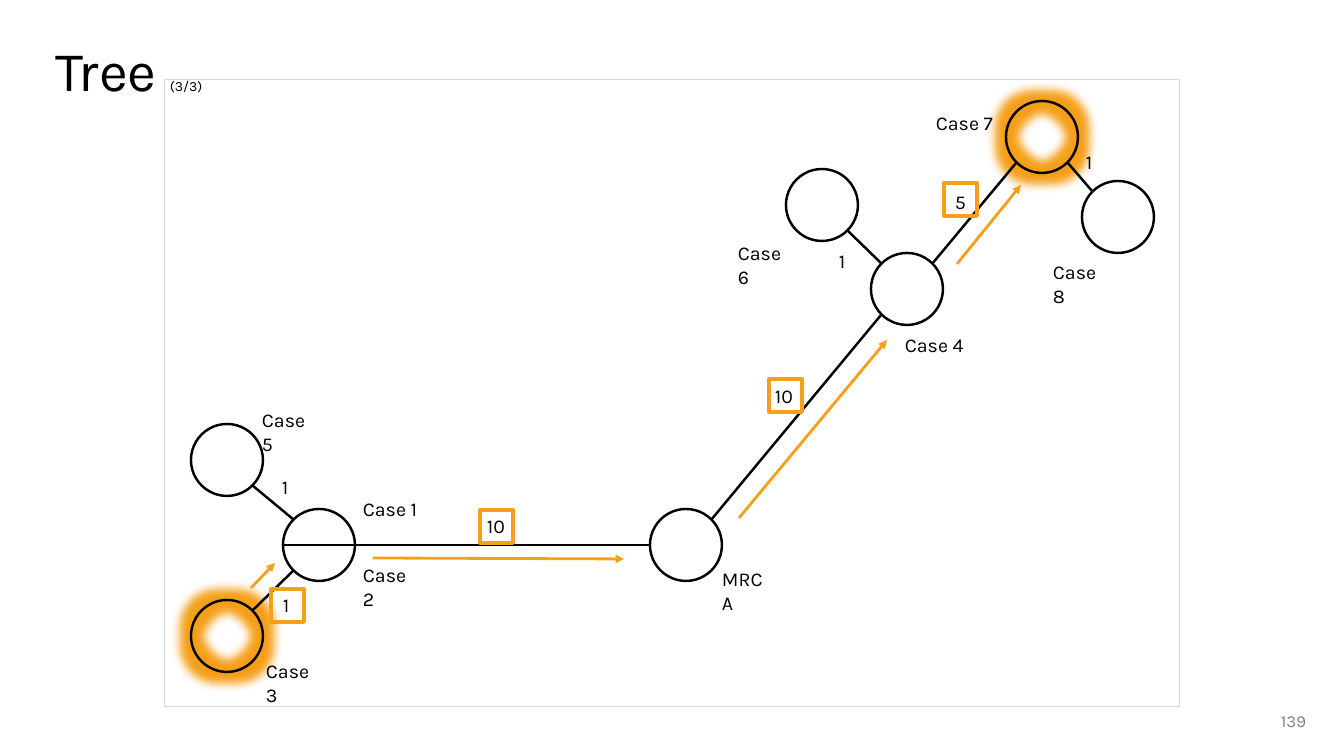
"""Build the slide showing the path between two cases in a transmission tree."""
import math
from dataclasses import dataclass

import pptx
import pptx.dml.color
import pptx.enum.shapes
import pptx.enum.text
import pptx.oxml
import pptx.oxml.ns
import pptx.util

TITLE = [("Tree ", 40), ("(3/3)", 10)]
PAGE_NUMBER = "139"

NODES = {
    "fork": (319, 545),
    "ancestor": (686, 545),
    "case 3": (227, 636),
    "case 4": (907, 289),
    "case 5": (227, 460),
    "case 6": (822, 205),
    "case 7": (1042, 137),
    "case 8": (1118, 217),
}
PATH_ENDS = ("case 3", "case 7")
FILLED_NODE = "ancestor"

EDGES = [
    ("fork", "E", "ancestor", "W"),
    ("ancestor", "NE", "case 4", "SW"),
    ("fork", "NW", "case 5", "SE"),
    ("fork", "SW", "case 3", "NE"),
    ("fork", "W", "fork", "E"),
    ("case 4", "NW", "case 6", "SE"),
    ("case 8", "NW", "case 7", "SE"),
    ("case 7", "SW", "case 4", "NE"),
]
ANGLES = {"E": 0, "SE": 45, "SW": 135, "W": 180, "NW": 225, "NE": 315}

FOLDED_LABELS = [
    ("MRCA", 712, 562),
    ("Case 5", 252, 403),
    ("Case 3", 256, 654),
    ("Case 2", 353, 558),
    ("Case 6", 728, 236),
    ("Case 8", 1043, 255),
]
LABELS = [
    ("Case 1", 353, 492),
    ("Case 4", 895, 328),
    ("Case 7", 926, 106),
    ("1", 272, 470),
    ("1", 273, 588),
    ("10", 477, 509),
    ("10", 765, 379),
    ("1", 829, 244),
    ("1", 1076, 145),
    ("5", 945, 185),
]
DISTANCE_BOXES = [(271, 589), (480, 510), (769, 379), (944, 183)]
ARROWS = [
    ((251, 588), (275, 563)),
    ((373, 558), (624, 559)),
    ((739, 518), (887, 340)),
    ((957, 264), (1021, 185)),
]

SLIDE_SIZE = (1344, 756)
TITLE_BOX = (45, 0, 1159, 146)
FRAME_BOX = (164, 79, 1015, 627)
PAGE_BOX = (1014, 701, 302, 40)
NODE_RADIUS = 36
DISTANCE_SIDE = 33
LABEL_HEIGHT = 34
LABEL_WIDTH = 90
FOLDED_WIDTH = 64
EMU_PER_PX = 914400 / 100.8


@dataclass(frozen=True)
class Theme:
    """Colours, type and line weights of the slide."""
    font: str = "Karla"
    ink: str = "000000"
    paper: str = "FFFFFF"
    accent: str = "F6A01A"
    frame: str = "D9D9D9"
    muted: str = "808080"
    label_size: int = 14
    page_size: int = 12
    tree_line: float = 1.75
    arrow_line: float = 2
    box_line: float = 2.75
    frame_line: float = 0.5
    glow: int = 14


THEME = Theme()
SHAPES = pptx.enum.shapes.MSO_SHAPE
ALIGN = pptx.enum.text.PP_ALIGN
ANCHOR = pptx.enum.text.MSO_ANCHOR


def px(*lengths):
    return [round(length * EMU_PER_PX) for length in lengths]


def rgb(color):
    return pptx.dml.color.RGBColor.from_string(color)


def add_xml(parent, content):
    parent.append(pptx.oxml.parse_xml(content.replace(
        "/>" if content.endswith("/>") and content.count("<") == 1 else ">",
        f' {pptx.oxml.ns.nsdecls("a")}' + ("/>" if content.count("<") == 1 else ">"), 1)))


def style_line(line, color, weight):
    line.color.rgb = rgb(color)
    line.width = pptx.util.Pt(weight)


def style_run(run, size, color):
    run.font.name = THEME.font
    run.font.size = pptx.util.Pt(size)
    run.font.color.rgb = rgb(color)


def add_outline(slide, kind, box, color, weight):
    shape = slide.shapes.add_shape(kind, *px(*box))
    shape.shadow.inherit = False
    shape.fill.background()
    style_line(shape.line, color, weight)
    return shape


def add_line(slide, start, end, color, weight):
    connector = slide.shapes.add_connector(
        pptx.enum.shapes.MSO_CONNECTOR.STRAIGHT, *px(*start, *end))
    style_line(connector.line, color, weight)
    add_xml(connector._element.spPr, "<a:effectLst/>")
    return connector


def add_text(slide, text, box, size, color, align=ALIGN.LEFT, anchor=ANCHOR.TOP):
    text_frame = slide.shapes.add_textbox(*px(*box)).text_frame
    text_frame.word_wrap = True
    text_frame.vertical_anchor = anchor
    text_frame.text = text
    paragraph = text_frame.paragraphs[0]
    paragraph.alignment = align
    style_run(paragraph.runs[0], size, color)


def add_title(slide):
    title = slide.shapes.title
    title.left, title.top, title.width, title.height = px(*TITLE_BOX)
    title.text_frame.vertical_anchor = ANCHOR.MIDDLE
    paragraph = title.text_frame.paragraphs[0]
    paragraph.alignment = ALIGN.LEFT
    paragraph.line_spacing = 0.9
    for text, size in TITLE:
        run = paragraph.add_run()
        run.text = text
        style_run(run, size, THEME.ink)


def add_node(slide, name):
    x, y = NODES[name]
    box = (x - NODE_RADIUS, y - NODE_RADIUS, 2 * NODE_RADIUS, 2 * NODE_RADIUS)
    node = add_outline(slide, SHAPES.OVAL, box, THEME.ink, THEME.tree_line)
    if name == FILLED_NODE:
        node.fill.solid()
        node.fill.fore_color.rgb = rgb(THEME.paper)
    if name in PATH_ENDS:
        effects = node._element.spPr.find(pptx.oxml.ns.qn("a:effectLst"))
        add_xml(effects, f'<a:glow rad="{pptx.util.Pt(THEME.glow)}">'
                         f'<a:srgbClr val="{THEME.accent}"/></a:glow>')


def rim_point(name, direction):
    x, y = NODES[name]
    angle = math.radians(ANGLES[direction])
    return x + NODE_RADIUS * math.cos(angle), y + NODE_RADIUS * math.sin(angle)


def main():
    presentation = pptx.Presentation()
    presentation.slide_width, presentation.slide_height = px(*SLIDE_SIZE)
    slide = presentation.slides.add_slide(presentation.slide_layouts[5])
    add_title(slide)
    for name in NODES:
        add_node(slide, name)
    for first, leave, second, arrive in EDGES:
        add_line(slide, rim_point(first, leave), rim_point(second, arrive),
                 THEME.ink, THEME.tree_line)
    for labels, width in ((FOLDED_LABELS, FOLDED_WIDTH), (LABELS, LABEL_WIDTH)):
        for text, x, y in labels:
            add_text(slide, text, (x, y, width, LABEL_HEIGHT), THEME.label_size, THEME.ink)
    add_outline(slide, SHAPES.RECTANGLE, FRAME_BOX, THEME.frame, THEME.frame_line)
    for corner in DISTANCE_BOXES:
        add_outline(slide, SHAPES.RECTANGLE, (*corner, DISTANCE_SIDE, DISTANCE_SIDE),
                    THEME.accent, THEME.box_line)
    for start, tip in ARROWS:
        arrow = add_line(slide, start, tip, THEME.accent, THEME.arrow_line)
        add_xml(arrow.line._get_or_add_ln(), '<a:tailEnd type="triangle"/>')
    add_text(slide, PAGE_NUMBER, PAGE_BOX, THEME.page_size, THEME.muted,
             ALIGN.RIGHT, ANCHOR.MIDDLE)
    presentation.save("out.pptx")


if __name__ == "__main__":
    main()
